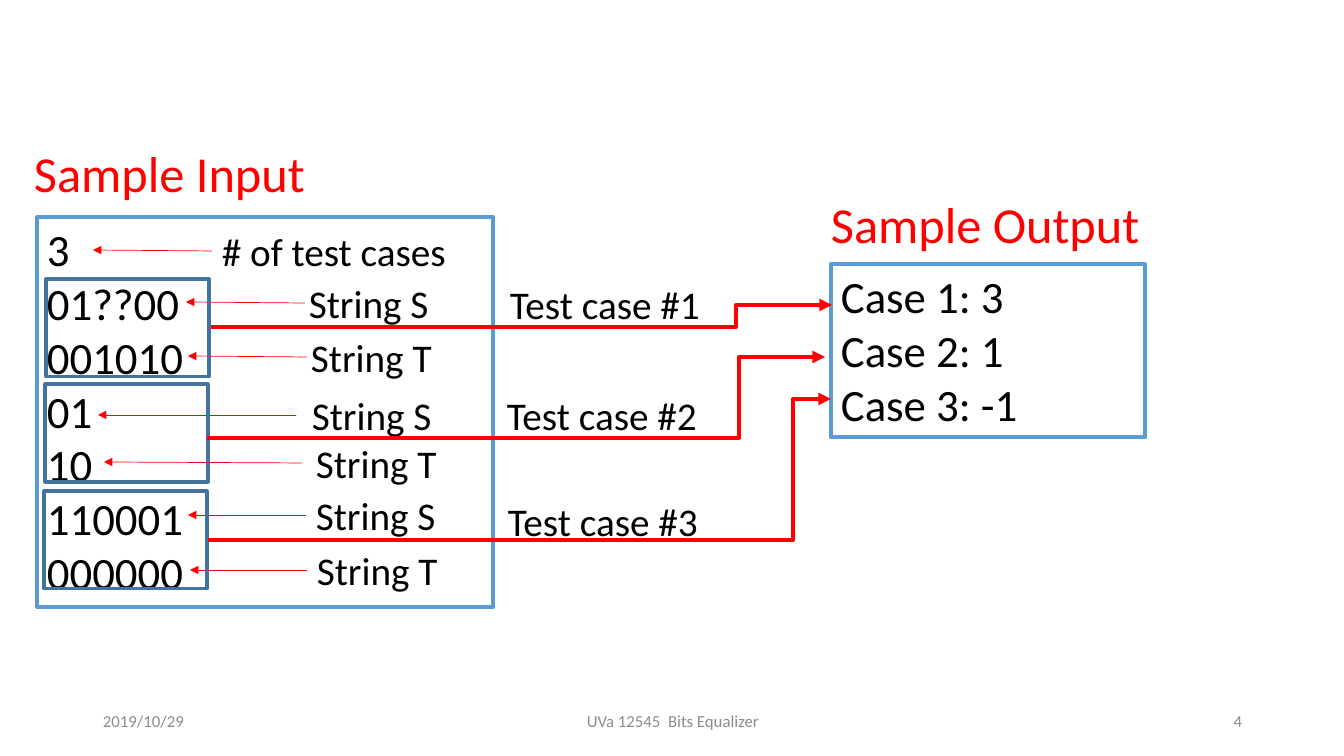
from pptx import Presentation
from pptx.dml.color import RGBColor
from pptx.enum.shapes import MSO_CONNECTOR as CONN, MSO_SHAPE as SHAPE
from pptx.enum.text import MSO_ANCHOR as ANCHOR, PP_ALIGN as ALIGN
from pptx.oxml.ns import qn
from pptx.util import Emu, Pt
from lxml.etree import SubElement

RED, BLACK, GREY = "FF0000", "000000", "8C8C8C"
BLUE, DARK_BLUE = "5B9BD5", "43739E"

HEADINGS = [("Sample Input", (24, 137, 321, 72)),
            ("Sample Output", (821, 188, 357, 72))]
PANELS = [
    (["3", "01??00", "001010", "01", "10", "110001", "000000"],
     (37, 217, 456, 390)),
    (["Case 1: 3", "Case 2: 1", "Case 3: -1"], (831, 264, 314, 173)),
]
LABELS = [
    ("# of test cases", (212, 222, 249)),
    ("String S", (299, 274, 143)),
    ("String T", (301, 328, 166)),
    ("String S", (302, 386, 142)),
    ("String T", (306, 434, 142)),
    ("String S", (306, 486, 142)),
    ("String T", (307, 541, 142)),
    ("Test case #1", (500, 275, 212)),
    ("Test case #2", (497, 386, 212)),
    ("Test case #3", (498, 492, 212)),
]
LABEL_H = 57
ARROWS = [
    (212, 251, 93, 250),
    (305, 303, 186, 302),
    (307, 357, 188, 356),
    (296, 415, 98, 415),
    (302, 463, 104, 462),
    (306, 515, 188, 515),
    (307, 570, 190, 570),
]
CASE_BOXES = [(46, 279), (45, 384), (44, 491)]
CASE_W, CASE_H = 163, 98
ROUTES = [
    ((211, 327, 832, 305), 736),
    ((207, 438, 825, 357), 739),
    ((208, 540, 831, 399), 793),
]
FOOTER = [
    ("2019/10/29", 93, 302, ALIGN.LEFT),
    ("UVa 12545  Bits Equalizer", 446, 454, ALIGN.CENTER),
    ("4", 950, 302, ALIGN.RIGHT),
]
FOOTER_Y, FOOTER_H = 701, 40

SLIDE_W, SLIDE_H = 1344, 756
SCALE = 12192000 / SLIDE_W


def px(*values):
    return [Emu(round(v * SCALE)) for v in values]


def rgb(color):
    return RGBColor.from_string(color)


def write(shape, lines, size, color, align=ALIGN.LEFT, anchor=ANCHOR.TOP):
    tf = shape.text_frame
    tf.word_wrap = True
    tf.vertical_anchor = anchor
    tf.text = "\n".join(lines)
    for p in tf.paragraphs:
        p.alignment = align
        p.font.name = "Calibri"
        p.font.size = Pt(size)
        p.font.color.rgb = rgb(color)


def add_text(s, text, box, size, color, **layout):
    write(s.shapes.add_textbox(*px(*box)), [text], size, color, **layout)


def add_frame(s, box, color, width):
    shape = s.shapes.add_shape(SHAPE.RECTANGLE, *px(*box))
    shape.shadow.inherit = False
    shape.fill.background()
    shape.line.color.rgb = rgb(color)
    shape.line.width = Pt(width)
    return shape


def add_arrow(s, kind, ends, width):
    arrow = s.shapes.add_connector(kind, *px(*ends))
    arrow.line.color.rgb = rgb(RED)
    arrow.line.width = Pt(width)
    SubElement(arrow.line._get_or_add_ln(), qn("a:tailEnd"), type="triangle")
    SubElement(arrow._element.spPr, qn("a:effectLst"))
    return arrow


def add_route(s, ends, bend_x):
    arrow = add_arrow(s, CONN.ELBOW, ends, 3)
    ratio = round((bend_x - ends[0]) / (ends[2] - ends[0]) * 100000)
    guides = arrow._element.spPr.find(qn("a:prstGeom")).get_or_add_avLst()
    SubElement(guides, qn("a:gd"), name="adj1", fmla=f"val {ratio}")


def main():
    prs = Presentation()
    prs.slide_width, prs.slide_height = px(SLIDE_W, SLIDE_H)
    s = prs.slides.add_slide(prs.slide_layouts[6])

    for text, box in HEADINGS:
        add_text(s, text, box, 36, RED)
    for lines, box in PANELS:
        write(add_frame(s, box, BLUE, 3), lines, 32, BLACK)
    for text, x, w, align in FOOTER:
        add_text(s, text, (x, FOOTER_Y, w, FOOTER_H), 12, GREY,
                 align=align, anchor=ANCHOR.MIDDLE)
    for text, place in LABELS:
        add_text(s, text, (*place, LABEL_H), 28, BLACK)
    for ends in ARROWS:
        add_arrow(s, CONN.STRAIGHT, ends, 0.5)
    for corner in CASE_BOXES:
        add_frame(s, (*corner, CASE_W, CASE_H), DARK_BLUE, 2.25)
    for ends, bend_x in ROUTES:
        add_route(s, ends, bend_x)

    prs.save("out.pptx")


if __name__ == "__main__":
    main()
